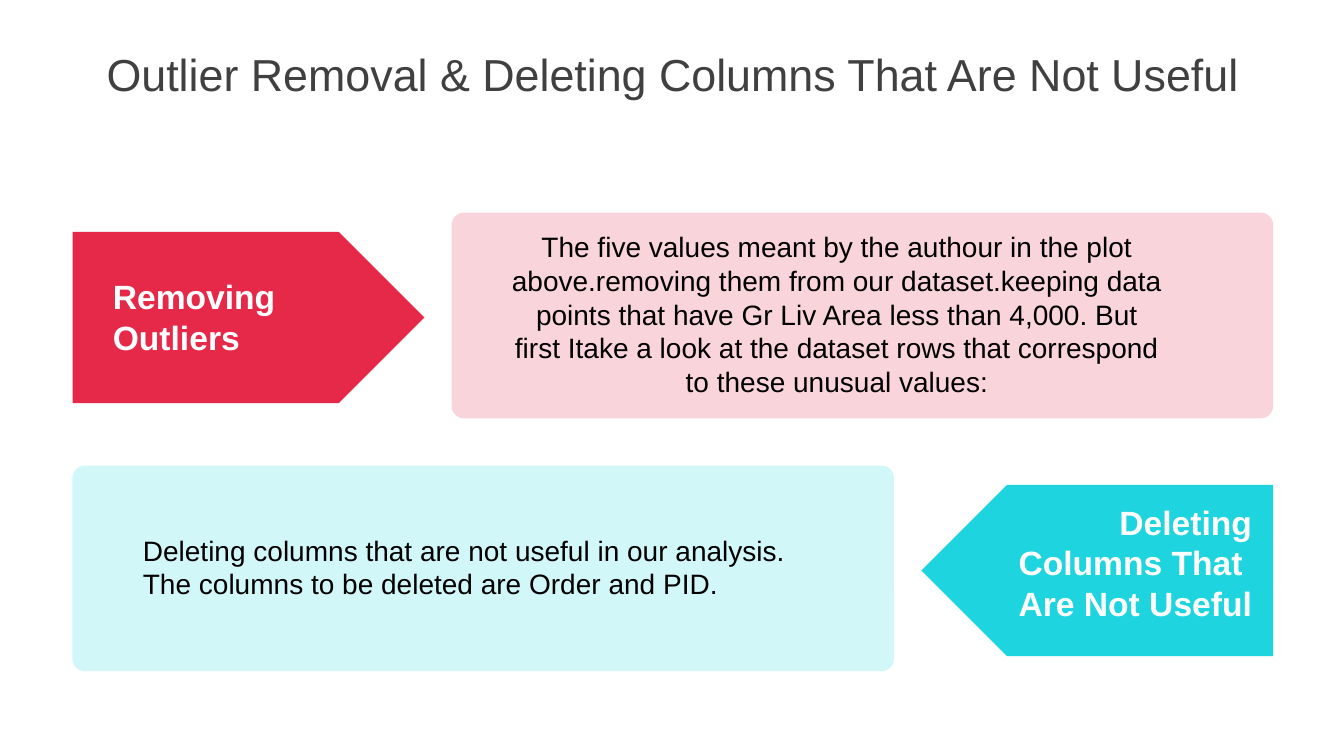
import pptx
import pptx.util
import pptx.dml.color
import pptx.enum.shapes
import pptx.enum.text

Pt = pptx.util.Pt
SHAPE = pptx.enum.shapes.MSO_SHAPE
ALIGN = pptx.enum.text.PP_ALIGN
ANCHOR = pptx.enum.text.MSO_ANCHOR

LEFT, RIGHT = 51.8, 909.4
CARD_W, CARD_H = 586.8, 146.9
ARROW_W, ARROW_H = 251.3, 122.4


def rgb(value):
    return pptx.dml.color.RGBColor.from_string(value)


def add_block(shapes, kind, x, y, w, h, fill, flip, adj):
    sp = shapes.add_shape(kind, Pt(x), Pt(y), Pt(w), Pt(h))
    sp.adjustments[0] = adj
    sp.shadow.inherit = False
    sp.fill.solid()
    sp.fill.fore_color.rgb = rgb(fill)
    sp.line.fill.background()
    if flip:
        sp._element.spPr.xfrm.set("flipH", "1")


def add_text(shapes, text, x, y, w, h, size, color, align, bold=False, inset=7.2):
    sp = shapes.add_textbox(Pt(x), Pt(y), Pt(w), Pt(h))
    tf = sp.text_frame
    tf.word_wrap = True
    tf.margin_left = tf.margin_right = Pt(inset)
    p = tf.paragraphs[0]
    p.alignment = align
    r = p.add_run()
    r.text = text
    r.font.name = "Arial"
    r.font.size = Pt(size)
    r.font.bold = bold
    r.font.color.rgb = rgb(color)
    return tf


def add_title(s, text):
    tf = add_text(s.shapes, text, 25.2, 26.6, 911.5, 56.9, 32, "404040", ALIGN.CENTER)
    tf.vertical_anchor = ANCHOR.MIDDLE
    p = tf.paragraphs[0]
    p.line_spacing = 0.9
    p.space_before = Pt(10)


def add_step(s, y, label, label_box, arrow_fill, card_fill, flip=False):
    card_x = LEFT if flip else RIGHT - CARD_W
    arrow_x = RIGHT - ARROW_W if flip else LEFT
    arrow_y = y + 13.7
    align = ALIGN.RIGHT if flip else ALIGN.LEFT
    shapes = s.shapes.add_group_shape().shapes
    add_block(shapes, SHAPE.ROUNDED_RECTANGLE, card_x, y, CARD_W, CARD_H, card_fill, flip, 0.06)
    add_block(shapes, SHAPE.PENTAGON, arrow_x, arrow_y, ARROW_W, ARROW_H, arrow_fill, flip, 0.5)
    add_text(shapes, label, *label_box, 24, "FFFFFF", align, True, 8.64)


def add_body(s, text, x, y, h, align):
    add_text(s.shapes, text, x, y, 480.2, h, 20, "000000", align)


def main():
    prs = pptx.Presentation()
    prs.slide_width, prs.slide_height = Pt(960), Pt(540)
    s = prs.slides.add_slide(prs.slide_layouts[6])
    add_title(s, "Outlier Removal & Deleting Columns That Are Not Useful")
    add_step(s, 151.9, "Removing Outliers", (72, 193.7, 211.7, 65.5), "E62949", "FAD4DB")
    add_step(s, 332.6, "Deleting Columns That  Are Not Useful", (691.2, 355, 211.7, 94.3),
             "1ED4DE", "D2F7F9", flip=True)
    add_body(s, "The five values meant by the authour in the plot above.removing them from our "
             "dataset.keeping data points that have Gr Liv Area less than 4,000. But first Itake "
             "a look at the dataset rows that correspond to these unusual values:",
             357.8, 160.6, 128.2, ALIGN.CENTER)
    add_body(s, "Deleting columns that are not useful in our analysis. "
             "The columns to be deleted are Order and PID.",
             95, 377.3, 55.4, ALIGN.LEFT)
    prs.save("out.pptx")


if __name__ == "__main__":
    main()
